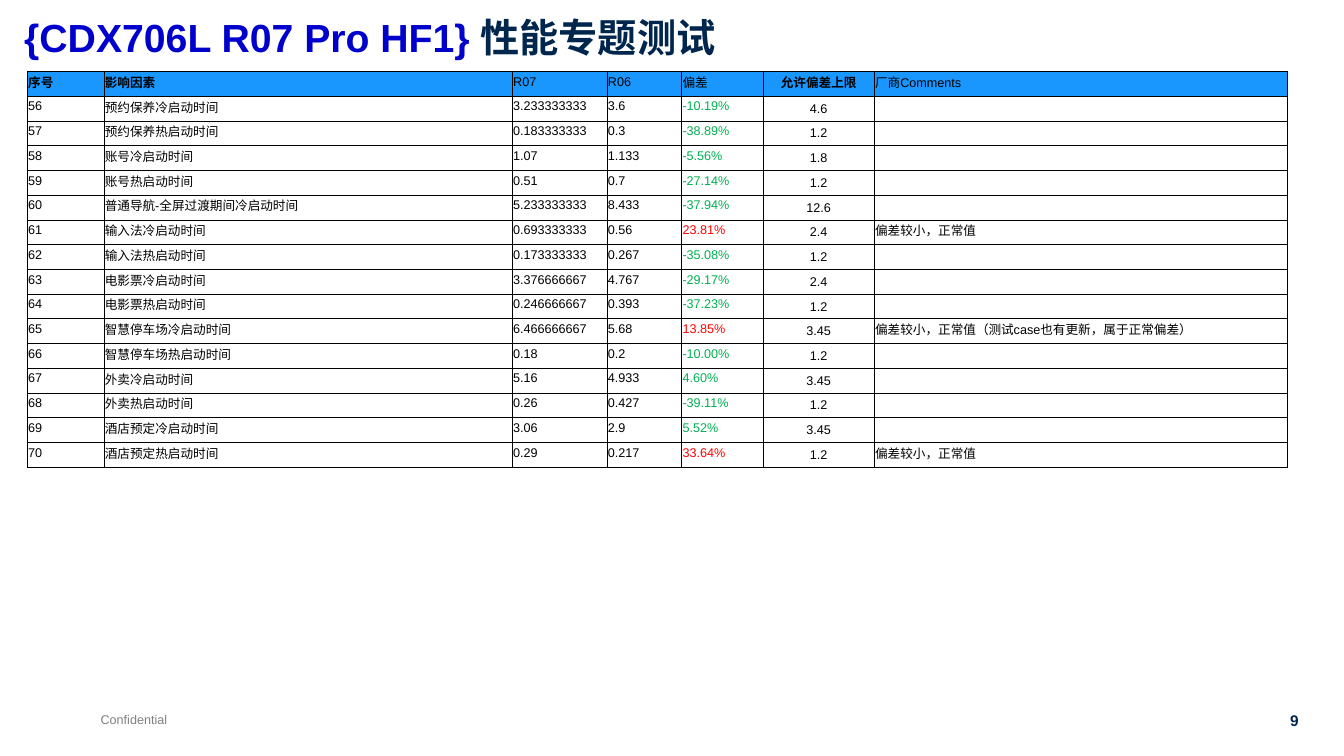
from dataclasses import dataclass

from lxml import etree
from pptx import Presentation
from pptx.dml.color import RGBColor
from pptx.enum import text as t
from pptx.oxml import ns
from pptx.util import Inches, Pt


@dataclass(frozen=True)
class Theme:
    font: str = "Arial"
    black: str = "000000"
    navy: str = "00264E"
    blue: str = "0000CC"
    grey: str = "808080"
    header: str = "1997FF"
    better: str = "00B050"
    worse: str = "FF0000"
    title_size: float = 28
    number_size: float = 11
    small_size: float = 9
    border: float = 0.5


THEME = Theme()
HEADERS = ["序号", "影响因素", "R07", "R06", "偏差", "允许偏差上限", "厂商Comments"]
BOLD_HEADERS = {"序号", "影响因素", "允许偏差上限"}
COLUMN_WIDTHS = [0.76, 4.05, 0.94, 0.74, 0.81, 1.1, 4.1]
DEVIATION, LIMIT = 4, 5
TABLE_HEIGHT = 3.93
FIRST_NUMBER = 56
SMALL = "偏差较小，正常值"
RESULTS = [
    ("预约保养冷启动时间", "3.233333333", "3.6", "-10.19%", "4.6", ""),
    ("预约保养热启动时间", "0.183333333", "0.3", "-38.89%", "1.2", ""),
    ("账号冷启动时间", "1.07", "1.133", "-5.56%", "1.8", ""),
    ("账号热启动时间", "0.51", "0.7", "-27.14%", "1.2", ""),
    ("普通导航-全屏过渡期间冷启动时间", "5.233333333", "8.433", "-37.94%", "12.6", ""),
    ("输入法冷启动时间", "0.693333333", "0.56", "23.81%", "2.4", SMALL),
    ("输入法热启动时间", "0.173333333", "0.267", "-35.08%", "1.2", ""),
    ("电影票冷启动时间", "3.376666667", "4.767", "-29.17%", "2.4", ""),
    ("电影票热启动时间", "0.246666667", "0.393", "-37.23%", "1.2", ""),
    ("智慧停车场冷启动时间", "6.466666667", "5.68", "13.85%", "3.45",
     SMALL + "（测试case也有更新，属于正常偏差）"),
    ("智慧停车场热启动时间", "0.18", "0.2", "-10.00%", "1.2", ""),
    ("外卖冷启动时间", "5.16", "4.933", "4.60%", "3.45", ""),
    ("外卖热启动时间", "0.26", "0.427", "-39.11%", "1.2", ""),
    ("酒店预定冷启动时间", "3.06", "2.9", "5.52%", "3.45", ""),
    ("酒店预定热启动时间", "0.29", "0.217", "33.64%", "1.2", SMALL),
]


def write(paragraph, words, size=THEME.small_size, color=THEME.black, bold=False,
          align=t.PP_ALIGN.LEFT):
    paragraph.alignment = align
    if not words:
        end = etree.SubElement(paragraph._p, ns.qn("a:endParaRPr"))
        end.set("sz", str(int(size * 100)))
        etree.SubElement(end, ns.qn("a:latin")).set("typeface", THEME.font)
        return
    run = paragraph.add_run()
    run.text = words
    run.font.name = THEME.font
    run.font.size = Pt(size)
    run.font.bold = bold
    run.font.color.rgb = RGBColor.from_string(color)


def add_title(slide):
    title = slide.shapes.title
    title.left, title.top = Inches(0.14), Inches(0.13)
    title.width, title.height = Inches(11.85), Inches(0.63)
    frame = title.text_frame
    frame.auto_size = t.MSO_AUTO_SIZE.NONE
    frame.vertical_anchor = t.MSO_ANCHOR.TOP
    heading = frame.paragraphs[0]
    heading.line_spacing = 0.9
    for words, color in (("{CDX706L R07 Pro HF1} ", THEME.blue),
                         ("性能专题测试", THEME.navy)):
        write(heading, words, size=THEME.title_size, color=color, bold=True)


def add_footer(slide, words, left, width, height, **style):
    footer = slide.shapes.add_textbox(
        Inches(left), Inches(7.01), Inches(width), Inches(height))
    footer.text_frame.word_wrap = False
    footer.text_frame.auto_size = t.MSO_AUTO_SIZE.SHAPE_TO_FIT_TEXT
    write(footer.text_frame.paragraphs[0], words, **style)


def set_borders(cell):
    properties = cell._tc.get_or_add_tcPr()
    for position, side in enumerate(("lnL", "lnR", "lnT", "lnB")):
        line = etree.Element(ns.qn("a:" + side), w=str(Pt(THEME.border)))
        fill = etree.SubElement(line, ns.qn("a:solidFill"))
        etree.SubElement(fill, ns.qn("a:srgbClr")).set("val", THEME.black)
        properties.insert(position, line)


def fill_cell(cell, words, fill=None, anchor=t.MSO_ANCHOR.MIDDLE, **style):
    cell.margin_left = cell.margin_top = cell.margin_right = Inches(0.01)
    cell.margin_bottom = Inches(0.05)
    cell.vertical_anchor = anchor
    if fill:
        cell.fill.solid()
        cell.fill.fore_color.rgb = RGBColor.from_string(fill)
    else:
        cell.fill.background()
    set_borders(cell)
    write(cell.text_frame.paragraphs[0], words, **style)


def add_results(slide):
    row_count = len(RESULTS) + 1
    results = slide.shapes.add_table(
        row_count, len(HEADERS), Inches(0.27), Inches(0.71),
        Inches(sum(COLUMN_WIDTHS)), Inches(TABLE_HEIGHT)).table
    results.first_row = results.horz_banding = False
    for column, width in zip(results.columns, COLUMN_WIDTHS):
        column.width = Inches(width)
    for row in results.rows:
        row.height = Inches(TABLE_HEIGHT / row_count)
    aligns = [t.PP_ALIGN.CENTER if i == LIMIT else t.PP_ALIGN.LEFT
              for i in range(len(HEADERS))]

    for i, header in enumerate(HEADERS):
        fill_cell(results.cell(0, i), header, fill=THEME.header,
                  bold=header in BOLD_HEADERS, align=aligns[i])
    for row, result in enumerate(RESULTS, start=1):
        comment = result[-1]
        deviation_color = THEME.worse if comment else THEME.better
        for i, words in enumerate((str(FIRST_NUMBER + row - 1), *result)):
            fill_cell(results.cell(row, i), words, align=aligns[i],
                      anchor=t.MSO_ANCHOR.BOTTOM if i == LIMIT else t.MSO_ANCHOR.MIDDLE,
                      color=deviation_color if i == DEVIATION else THEME.black)


def main():
    deck = Presentation()
    deck.slide_width, deck.slide_height = Inches(13.33), Inches(7.5)
    slide = deck.slides.add_slide(deck.slide_layouts[5])
    add_footer(slide, "Confidential", 0.9, 0.87, 0.25, color=THEME.grey)
    add_footer(slide, "9", 12.59, 0.39, 0.29, size=THEME.number_size,
               color=THEME.navy, bold=True, align=t.PP_ALIGN.RIGHT)
    add_title(slide)
    add_results(slide)
    deck.save("out.pptx")


if __name__ == "__main__":
    main()
